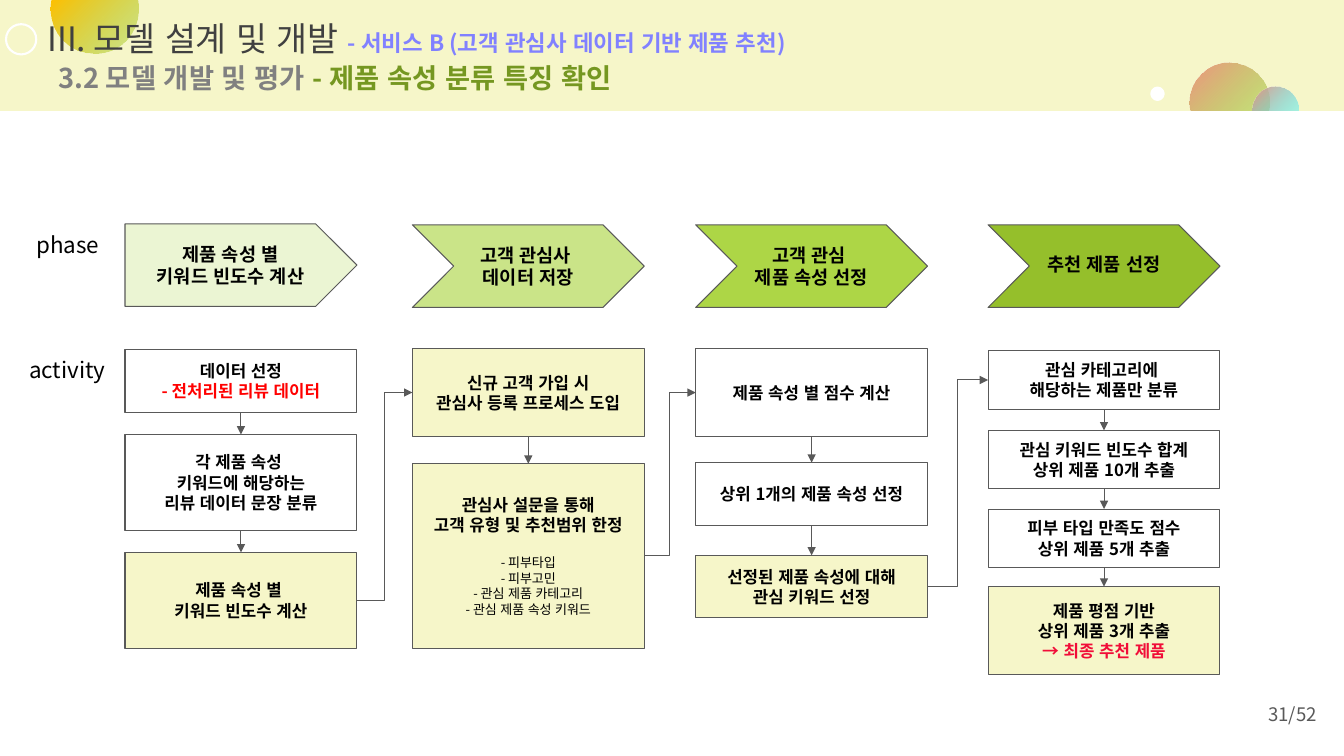
import math
from itertools import pairwise

from lxml import etree
from pptx import Presentation
from pptx.dml.color import RGBColor
from pptx.enum import lang, shapes, text
from pptx.oxml.ns import qn
from pptx.util import Inches, Pt

THEME = {
    "font": "Noto Sans CJK KR",
    "size": {"title": 24, "subtitle": 19.5, "label": 16, "phase": 13.3,
             "activity": 12, "detail": 9.3, "page": 13.3},
    "color": {"black": "000000", "white": "FFFFFF", "cream": "F6F6C9", "line": "595959",
              "title": "404040", "service": "8181FF", "section": "808080", "topic": "759721",
              "red": "FF0000", "crimson": "F10D38", "amber": "FFC000", "green": "9ACD32",
              "coral": "F19182", "aqua": "31EAFE",
              "phase1": "EBF5D3", "phase2": "CAE488", "phase3": "ADD646", "phase4": "95BF2B"},
}

# A line is a string or a list of (text, style) runs.
TITLE = [("III. 모델 설계 및 개발 ", {"size": "title", "color": "title"}),
         ("- 서비스 B (고객 관심사 데이터 기반 제품 추천)",
          {"size": "label", "color": "service", "bold": True})]
SUBTITLE = [("3.2 모델 개발 및 평가 ", {"color": "section"}),
            ("- 제품 속성 분류 특징 확인", {"color": "topic"})]
DETAIL = {"size": "detail", "bold": False}

# left, phase top, phase lines, activities: (top, height, fill, lines)
COLUMNS = [
    (1.24, 2.22, ["제품 속성 별", "키워드 빈도수 계산"], [
        (3.47, 0.62, "white", ["데이터 선정", [("- 전처리된 리뷰 데이터", {"color": "red"})]]),
        (4.31, 0.95, "white", ["각 제품 속성 ", "키워드에 해당하는", "리뷰 데이터 문장 분류"]),
        (5.48, 0.95, "cream", ["제품 속성 별 ", "키워드 빈도수 계산"])]),
    (4.09, 2.23, ["고객 관심사 ", "데이터 저장"], [
        (3.46, 0.87, "cream", ["신규 고객 가입 시", "관심사 등록 프로세스 도입"]),
        (4.6, 1.83, "cream", ["관심사 설문을 통해", "고객 유형 및 추천범위 한정",
                              [("- 피부타입", {**DETAIL, "before": 14})],
                              [("- 피부고민", DETAIL)],
                              [("- 관심 제품 카테고리", DETAIL)],
                              [("- 관심 제품 속성 키워드", DETAIL)]])]),
    (6.9, 2.23, ["고객 관심 ", "제품 속성 선정"], [
        (3.46, 0.87, "white", ["제품 속성 별 점수 계산"]),
        (4.59, 0.62, "white", ["상위 1개의 제품 속성 선정"]),
        (5.51, 0.62, "cream", ["선정된 제품 속성에 대해", "관심 키워드 선정"])]),
    (9.8, 2.23, [], [
        (3.48, 0.58, "white", ["관심 카테고리에 ", "해당하는 제품만 분류"]),
        (4.27, 0.58, "white", ["관심 키워드 빈도수 합계", "상위 제품 10개 추출"]),
        (5.05, 0.58, "white", ["피부 타입 만족도 점수", "상위 제품 5개 추출"]),
        (5.82, 0.87, "cream", ["제품 평점 기반", "상위 제품 3개 추출",
                               [("→ 최종 추천 제품", {"color": "crimson"})]])]),
]
LAST_PHASE = "추천 제품 선정"
BOX_WIDTH, PHASE_HEIGHT, HEADER_HEIGHT = 2.3, 0.82, 1.1

# centre x, top, radius, height, (colour, opacity) from start to end, rotation
DOMES = [
    (0.935, 0, 0.435, 0.53, [("amber", 100), ("green", 40)], 180),
    (12.195, 0.62, 0.395, 0.48, [("green", 50), ("coral", 100)], 0),
    (12.65, 0.86, 0.23, 0.24, [("aqua", 40), ("coral", 100)], 0),
]
# left, top, diameter, filled, outline width
RINGS = [(0.06, 0.24, 0.3, False, 1.5), (11.44, 0.89, 0.08, True, 4.5)]

KIND = shapes.MSO_SHAPE
ALIGN = text.PP_ALIGN
ANCHOR = text.MSO_ANCHOR

prs = Presentation()
prs.slide_width, prs.slide_height = Inches(13.33), Inches(7.5)
slide = prs.slides.add_slide(prs.slide_layouts[6])


def rgb(name):
    return RGBColor.from_string(THEME["color"][name])


def style_font(font, size=None, color=None, bold=None):
    if size:
        font.size = Pt(THEME["size"][size])
    if color:
        font.color.rgb = rgb(color)
    if bold is not None:
        font.bold = bold


def write(frame, lines, size, color="black", bold=False, align=ALIGN.LEFT,
          anchor=ANCHOR.TOP, inset=0.13):
    frame.word_wrap = True
    frame.vertical_anchor = anchor
    frame.margin_left = frame.margin_right = Inches(inset)
    frame.margin_top = frame.margin_bottom = Inches(inset)
    for i, line in enumerate(lines):
        paragraph = frame.paragraphs[0] if i == 0 else frame.add_paragraph()
        paragraph.alignment = align
        runs = [(line, {})] if isinstance(line, str) else line
        base = {"size": size, "color": color, "bold": bold}
        if len(runs) == 1:
            base |= runs[0][1]
            runs = [(runs[0][0], {})]
        before = base.pop("before", None)
        if before:
            paragraph.space_before = Pt(before)
        paragraph.font.name = THEME["font"]
        style_font(paragraph.font, **base)
        defaults = paragraph._p.pPr.find(qn("a:defRPr"))
        defaults.set("kern", "0")
        etree.SubElement(defaults, qn("a:ea")).set("typeface", THEME["font"])
        for words, style in runs:
            run = paragraph.add_run()
            run.text = words
            run.font.language_id = lang.MSO_LANGUAGE_ID.KOREAN
            style_font(run.font, **style)


def add_text(left, top, width, height, lines, size, **style):
    box = slide.shapes.add_textbox(*map(Inches, (left, top, width, height)))
    write(box.text_frame, lines, size, **style)
    return box


def add_shape(kind, left, top, width, height, fill=None, line=None, line_width=0.75):
    shape = slide.shapes.add_shape(kind, *map(Inches, (left, top, width, height)))
    shape.shadow.inherit = False
    if fill:
        shape.fill.solid()
        shape.fill.fore_color.rgb = rgb(fill)
    else:
        shape.fill.background()
    if line:
        shape.line.color.rgb = rgb(line)
        shape.line.width = Pt(line_width)
    else:
        shape.line.fill.background()
    return shape


def add_dome(x, top, radius, height, stops, rotation):
    """Draw a gradient circle cut off by a level base, with four curves."""
    drop = height - radius
    half_base = math.sqrt(radius ** 2 - drop ** 2)
    pull = radius * 0.55
    # Offsets from the apex down to the base; each curve takes three points.
    apex_to_base = [(0, 0), (pull, 0), (radius, radius - pull), (radius, radius),
                    (radius, radius + drop / 3),
                    ((radius + half_base) / 2, radius + drop * 2 / 3), (half_base, height)]
    right = [(x + dx, top + dy) for dx, dy in apex_to_base]
    left = [(x - dx, top + dy) for dx, dy in reversed(apex_to_base)]
    start, *rest = [(Inches(px), Inches(py)) for px, py in right + left]
    builder = slide.shapes.build_freeform(*start)
    builder.add_line_segments(rest, close=True)
    dome = builder.convert_to_shape()
    segments = list(dome._element.iter(qn("a:lnTo")))
    for first in (0, 3, 7, 10):
        curve = etree.Element(qn("a:cubicBezTo"))
        segments[first].addprevious(curve)
        for segment in segments[first:first + 3]:
            curve.append(segment[0])
            segment.getparent().remove(segment)
    dome.rotation = rotation
    dome.shadow.inherit = False
    dome.line.fill.background()
    dome.fill.gradient()
    dome.fill.gradient_angle = 135
    for stop, (color, opacity) in zip(dome.fill.gradient_stops, stops):
        stop.color.rgb = rgb(color)
        if opacity < 100:
            alpha = etree.SubElement(stop._gs.find(qn("a:srgbClr")), qn("a:alpha"))
            alpha.set("val", str(opacity * 1000))


def add_arrow(kind, source, source_side, target, target_side):
    arrow = slide.shapes.add_connector(kind, 0, 0, 0, 0)
    arrow.begin_connect(source, source_side)
    arrow.end_connect(target, target_side)
    arrow.line.color.rgb = rgb("line")
    arrow.line.width = Pt(0.75)
    etree.SubElement(arrow.line._get_or_add_ln(), qn("a:tailEnd")).set("type", "triangle")
    etree.SubElement(arrow._element.spPr, qn("a:effectLst"))


add_shape(KIND.RECTANGLE, 0, 0, 13.33, HEADER_HEIGHT, "cream")
for dome in DOMES:
    add_dome(*dome)
for left, top, size, filled, width in RINGS:
    add_shape(KIND.OVAL, left, top, size, size, "white" if filled else None, "white", width)

title = add_text(0.28, 0.05, 8.28, 0.64, [TITLE], "title")
title.text_frame.paragraphs[0]._p.pPr.set("marL", str(Inches(0.06)))
add_text(0.45, 0.48, 9.93, 0.49, [SUBTITLE], "subtitle", bold=True)
add_text(0.23, 2.16, 0.98, 0.5, ["phase"], "label")
add_text(0.16, 3.4, 1.05, 0.5, ["activity"], "label")

centred = {"bold": True, "align": ALIGN.CENTER, "anchor": ANCHOR.MIDDLE}
flows = []
for number, (left, phase_top, phase_lines, activities) in enumerate(COLUMNS, 1):
    kind = KIND.PENTAGON if number == 1 else KIND.CHEVRON
    phase = add_shape(kind, left, phase_top, BOX_WIDTH, PHASE_HEIGHT, f"phase{number}", "line")
    write(phase.text_frame, phase_lines, "phase", **centred)
    flow = []
    for top, height, fill, lines in activities:
        activity = add_shape(KIND.RECTANGLE, left, top, BOX_WIDTH, height, fill, "line")
        write(activity.text_frame, lines, "activity", **centred)
        flow.append(activity)
    flows.append(flow)
add_text(9.94, 2.4, 2.02, 0.49, [LAST_PHASE], "phase", bold=True, align=ALIGN.CENTER)

for flow in flows:
    for upper, lower in pairwise(flow):
        add_arrow(shapes.MSO_CONNECTOR.STRAIGHT, upper, 2, lower, 0)
for flow, next_flow in pairwise(flows):
    add_arrow(shapes.MSO_CONNECTOR.ELBOW, flow[-1], 3, next_flow[0], 1)

add_text(12.19, 6.8, 0.97, 0.57, ["31/52"], "page", color="line",
         align=ALIGN.RIGHT, anchor=ANCHOR.MIDDLE, inset=0.1)

prs.save("out.pptx")
